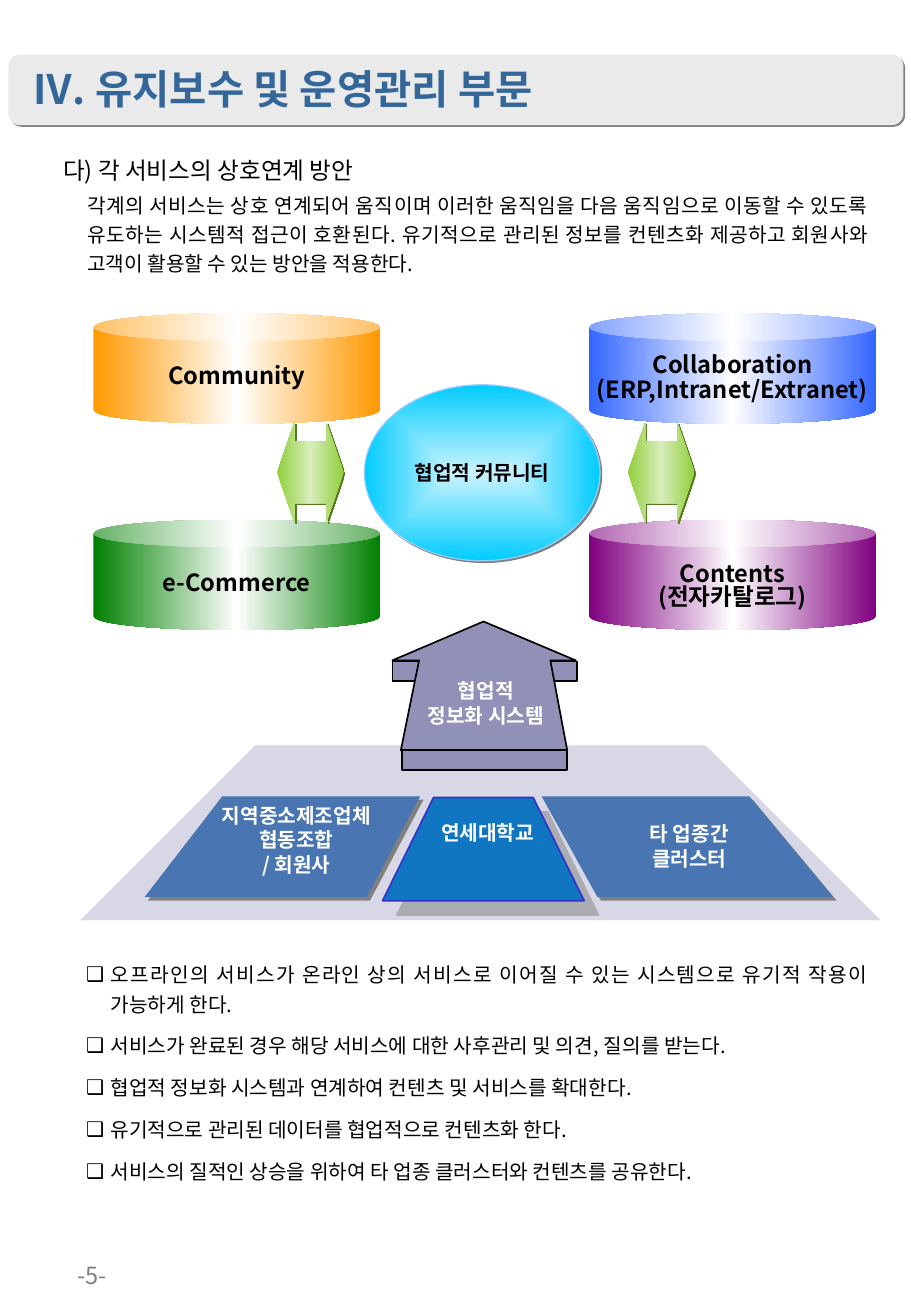
import pptx
import pptx.util
import pptx.dml.color
import pptx.enum.shapes
import pptx.enum.text
import pptx.oxml
import pptx.oxml.ns

Pt = pptx.util.Pt
Kind = pptx.enum.shapes.MSO_SHAPE
Align = pptx.enum.text.PP_ALIGN
Anchor = pptx.enum.text.MSO_ANCHOR
qn = pptx.oxml.ns.qn
RGB = pptx.dml.color.RGBColor.from_string

FONT = "Noto Sans CJK KR"
COLORS = {
    "black": "000000", "white": "FFFFFF", "gray": "808080", "panel": "EAEAEA",
    "heading": "336699", "ground": "D7D7E5", "arrow": "9191B7",
    "member": "4976B3", "campus": "1076C2", "campus_edge": "3333CC",
    "orange": "FF9900", "green": "008000", "purple": "800080", "blue": "3366FF",
    "lime": "90CF3B", "pale_lime": "D8EDBC", "dark_lime": "567B23",
    "cyan": "00CCFF", "pale_cyan": "CBF3FE", "cyan_edge": "99CCFF",
}


def write_text(shape, lines, size, color, bold=False, align=Align.LEFT,
               spacing=(None,), gap=0, wrap=True, anchor=Anchor.TOP):
    frame = shape.text_frame
    frame.text = "\n".join(lines)
    frame.word_wrap = wrap
    frame.auto_size = pptx.enum.text.MSO_AUTO_SIZE.NONE
    frame.vertical_anchor = anchor
    for index, para in enumerate(frame.paragraphs):
        para.alignment = align
        para.line_spacing = spacing[index % len(spacing)]
        para.space_before = Pt(gap if index else 0)
        for span in para.runs:
            span.font.size = Pt(size)
            span.font.bold = bold
            span.font.color.rgb = RGB(COLORS[color])
            span.font.name = FONT
            east = pptx.oxml.parse_xml(
                f'<a:ea {pptx.oxml.ns.nsdecls("a")} typeface="{FONT}"/>')
            span._r.get_or_add_rPr().append(east)


def set_shadow(shape, color=None, distance=0, alpha=100):
    shape.shadow.inherit = False
    if color:
        effects = shape._element.spPr.find(qn("a:effectLst"))
        effects.append(pptx.oxml.parse_xml(
            f'<a:outerShdw {pptx.oxml.ns.nsdecls("a")} dist="{Pt(distance)}" '
            f'dir="2700000" algn="ctr" rotWithShape="0">'
            f'<a:srgbClr val="{COLORS[color]}"><a:alpha val="{alpha * 1000}"/>'
            f'</a:srgbClr></a:outerShdw>'))


deck = pptx.Presentation()
deck.slide_width, deck.slide_height = Pt(540), Pt(780.48)
page = deck.slides.add_slide(deck.slide_layouts[1])

panel = page.shapes.add_shape(Kind.ROUNDED_RECTANGLE, Pt(5), Pt(32.4), Pt(530.6), Pt(41.8))
panel.fill.solid()
panel.fill.fore_color.rgb = RGB(COLORS["panel"])
panel.line.fill.background()
set_shadow(panel, "gray", 1.4)

title = page.shapes.title
title.left, title.top, title.width, title.height = Pt(30.2), Pt(82.1), Pt(455.8), Pt(68.4)
write_text(title, ["다) 각 서비스의 상호연계 방안"], 14, "black", spacing=(1.4,))

body = page.placeholders[1]
body.left, body.top, body.width, body.height = Pt(43.9), Pt(564.5), Pt(478.1), Pt(141.1)
write_text(body, [
    "오프라인의 서비스가 온라인 상의 서비스로 이어질 수 있는 시스템으로 유기적 작용이 가능하게 한다.",
    "서비스가 완료된 경우 해당 서비스에 대한 사후관리 및 의견, 질의를 받는다.",
    "협업적 정보화 시스템과 연계하여 컨텐츠 및 서비스를 확대한다.",
    "유기적으로 관리된 데이터를 협업적으로 컨텐츠화 한다.",
    "서비스의 질적인 상승을 위하여 타 업종 클러스터와 컨텐츠를 공유한다.",
], 12, "black", align=Align.JUSTIFY, spacing=(1.2,), gap=7.5)
for para in body.text_frame.paragraphs:
    props = para._p.get_or_add_pPr()
    props.set("marL", str(Pt(14.4)))
    props.set("indent", str(-Pt(14.4)))
    for markup in (f'<a:buClr {{}}><a:srgbClr val="{COLORS["black"]}"/></a:buClr>',
                   '<a:buChar {} char="❑"/>'):
        props.append(pptx.oxml.parse_xml(markup.format(pptx.oxml.ns.nsdecls("a"))))

outlines = [
    ("ground", None, None, [(47.5, 545.8), (522, 545.8), (418.3, 442.1), (151.2, 442.1)]),
    ("arrow", "black", None, [(326.2, 392.4), (342, 392.4), (342, 404), (326.2, 404)]),
    ("arrow", "black", None, [(232.6, 392.4), (248, 392.4), (248, 404), (232.6, 404)]),
    ("arrow", "black", None, [(286.6, 368.6), (232.6, 391.7), (248.4, 391.7), (237.6, 445),
                              (336.2, 445), (326.2, 391.7), (341.3, 391.7)]),
    ("arrow", "black", None, [(238.3, 445), (336.2, 445), (336.2, 456.5), (238.3, 456.5)]),
    ("member", None, (2.8, 100), [(131.8, 472.3), (85.7, 532.1), (217.4, 532.1), (249.1, 472.3)]),
    ("member", None, (2.8, 100), [(444.2, 472.3), (493.9, 532.1), (354.2, 532.1), (321.1, 472.3)]),
    ("campus", "campus_edge", (12.1, 50), [(346.3, 534.2), (226.8, 534.2), (257, 473), (316.1, 473)]),
]
for fill, edge, shadow, points in outlines:
    corners = [(Pt(x), Pt(y)) for x, y in points]
    builder = page.shapes.build_freeform(*corners[0])
    builder.add_line_segments(corners[1:], close=True)
    outline = builder.convert_to_shape()
    outline.fill.solid()
    outline.fill.fore_color.rgb = RGB(COLORS[fill])
    if edge:
        outline.line.color.rgb = RGB(COLORS[edge])
        outline.line.width = Pt(1)
    else:
        outline.line.fill.background()
    if shadow:
        set_shadow(outline, "gray", *shadow)
    else:
        set_shadow(outline)

can_size, arrow_size = (170, 65.5), (39.6, 59)
left_can, right_can, upper_can, lower_can = 55.4, 349.2, 185.8, 308.2
gradient_shapes = [
    (Kind.OVAL, (216, 228.2), (139.7, 104.4), ("pale_cyan", "cyan"), ["협업적 커뮤니티"], (None,)),
    (Kind.CAN, (left_can, lower_can), can_size, ("green", "white", "green"), ["e-Commerce"], (None,)),
    (Kind.CAN, (left_can, upper_can), can_size, ("orange", "white", "orange"), ["Community"], (None,)),
    (Kind.CAN, (right_can, lower_can), can_size, ("purple", "white", "purple"),
     ["Contents", "(전자카탈로그)"], (1.2, 0.8)),
    (Kind.CAN, (right_can, upper_can), can_size, ("blue", "white", "blue"),
     ["Collaboration", "(ERP,Intranet/Extranet)"], (1.1, 0.9)),
    (Kind.LEFT_RIGHT_ARROW, (164.2, 250.6), arrow_size, ("lime", "pale_lime", "lime"), [], (None,)),
    (Kind.LEFT_RIGHT_ARROW, (372.2, 250.6), arrow_size, ("lime", "pale_lime", "lime"), [], (None,)),
]
for kind, place, size, stops, lines, spacing in gradient_shapes:
    shape = page.shapes.add_shape(kind, *(Pt(value) for value in place + size))
    shape.fill.gradient()
    shape.fill.gradient_angle = 180
    gradient = shape._element.spPr.find(qn("a:gradFill"))
    stop_list = gradient.find(qn("a:gsLst"))
    for stop in list(stop_list):
        stop_list.remove(stop)
    for index, color in enumerate(stops):
        position = index * 100000 // (len(stops) - 1)
        stop_list.append(pptx.oxml.parse_xml(
            f'<a:gs {pptx.oxml.ns.nsdecls("a")} pos="{position}">'
            f'<a:srgbClr val="{COLORS[color]}"/></a:gs>'))
    shape.line.fill.background()
    set_shadow(shape)
    if kind == Kind.OVAL:
        gradient.replace(gradient.find(qn("a:lin")), pptx.oxml.parse_xml(
            f'<a:path {pptx.oxml.ns.nsdecls("a")} path="rect">'
            '<a:fillToRect l="50000" t="50000" r="50000" b="50000"/></a:path>'))
        shape.line.color.rgb = RGB(COLORS["cyan_edge"])
        shape.line.width = Pt(0.75)
        set_shadow(shape, "gray", 1.4)
    elif kind == Kind.LEFT_RIGHT_ARROW:
        shape.adjustments[0], shape.adjustments[1] = 0.62, 0.26
        set_shadow(shape, "dark_lime", 1.4)
    if lines:
        write_text(shape, lines, 14 if kind == Kind.CAN else 12, "black", True,
                   Align.CENTER, spacing, wrap=False, anchor=Anchor.MIDDLE)

label = {"size": 12, "color": "white", "bold": True, "align": Align.CENTER}
texts = [
    ((4.3, 744.5, 66.2, 36), ["-5-"], {"size": 14, "color": "gray", "align": Align.RIGHT}),
    ((12.2, 34.6, 455.8, 38.9), ["Ⅳ. 유지보수 및 운영관리 부문"],
     {"size": 24, "color": "heading", "bold": True}),
    ((44.6, 108, 477.4, 59),
     ["각계의 서비스는 상호 연계되어 움직이며 이러한 움직임을 다음 움직임으로 이동할 수 있도록 "
      "유도하는 시스템적 접근이 호환된다. 유기적으로 관리된 정보를 컨텐츠화 제공하고 회원사와 "
      "고객이 활용할 수 있는 방안을 적용한다."],
     {"size": 12, "color": "black", "align": Align.JUSTIFY, "spacing": (1.2,)}),
    ((118.8, 473, 113.8, 43.2), ["지역중소제조업체", "협동조합", "/ 회원사"], label),
    ((357.1, 483.8, 103, 24.5), ["타 업종간", "클러스터"], label),
    ((244.8, 398.9, 86.4, 36), ["협업적", "정보화 시스템"], {**label, "wrap": False}),
    ((237.6, 483.1, 103, 23.8), ["연세대학교"], label),
]
for place, lines, style in texts:
    box = page.shapes.add_textbox(*(Pt(value) for value in place))
    write_text(box, lines, **style)

deck.save("out.pptx")
